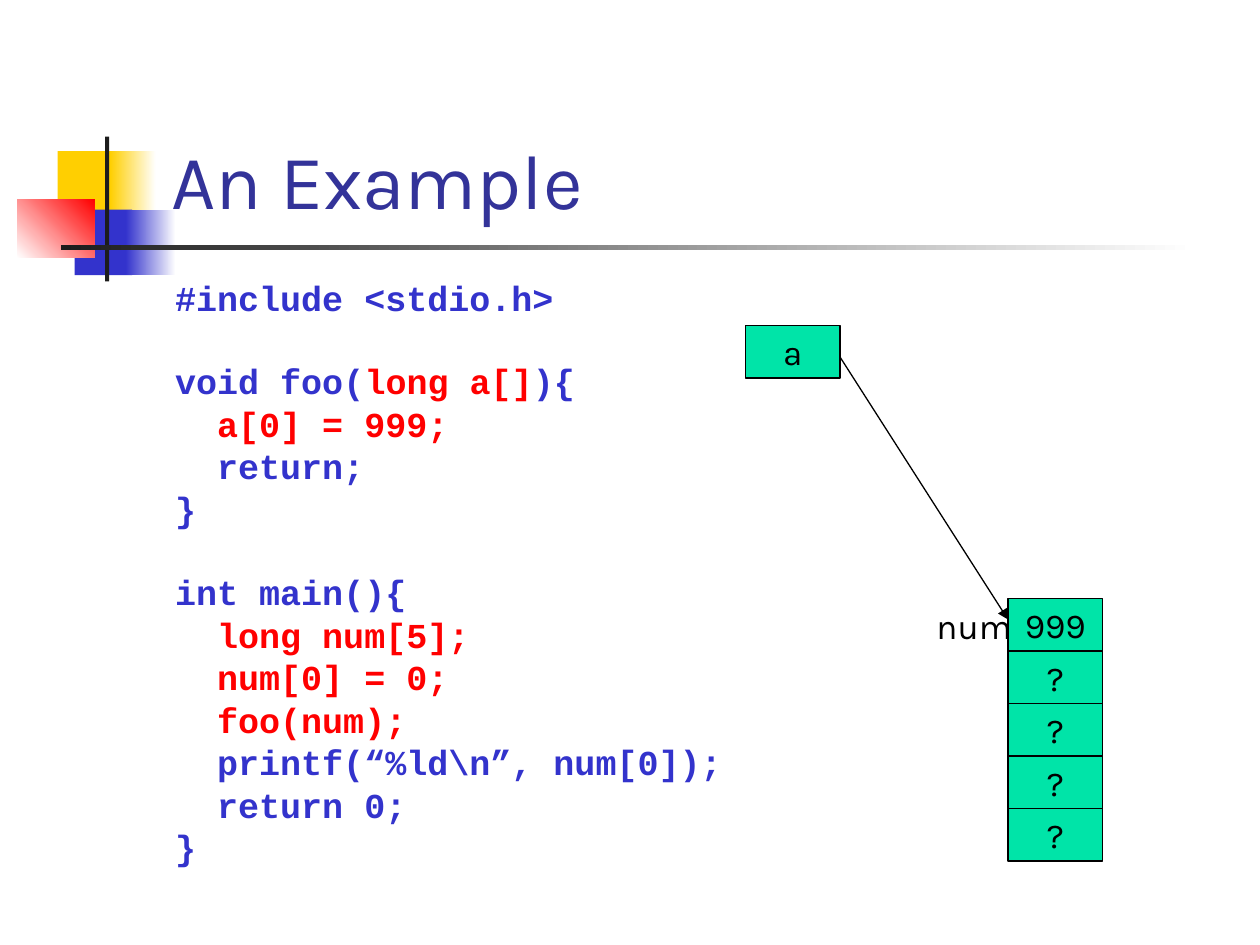
"""Build the slide showing an array passed to a function in C."""
from lxml.etree import SubElement
from pptx import Presentation
from pptx.dml.color import RGBColor
from pptx.enum.shapes import MSO_CONNECTOR, MSO_SHAPE
from pptx.enum.text import MSO_ANCHOR, PP_ALIGN
from pptx.oxml.ns import qn
from pptx.util import Pt

YELLOW = RGBColor(0xFF, 0xCF, 0x01)
BLUE = RGBColor(0x33, 0x33, 0xCC)
NAVY = RGBColor(0x33, 0x33, 0x99)
RED = RGBColor(0xFF, 0x00, 0x00)
GREEN = RGBColor(0x00, 0xE4, 0xA8)
CHARCOAL = RGBColor(0x1C, 0x1C, 0x1C)
BLACK = RGBColor(0x00, 0x00, 0x00)
WHITE = RGBColor(0xFF, 0xFF, 0xFF)

DECORATIONS = [
    ((33, 86.4, 34.7, 37.4), [YELLOW], 0),
    ((63, 86.4, 26, 37.4), [YELLOW, WHITE], 0),
    ((42.6, 119.8, 33, 37.4), [BLUE], 0),
    ((72, 119.8, 28.5, 37.4), [BLUE, WHITE], 0),
    ((9.8, 113.8, 44.2, 33.4), [WHITE, RED], 45),
    ((60, 78, 2.4, 82.8), [CHARCOAL], 0),
    ((34.8, 140.2, 648, 2.4), [CHARCOAL, WHITE], 0),
]
TITLE = "An Example"
FUNCTIONS = [
    [(0, [("#include <stdio.h>", BLUE)])],
    [
        (0, [("void foo(", BLUE), ("long a[]", RED), ("){", BLUE)]),
        (1, [("a[0] = 999;", RED)]),
        (1, [("return;", BLUE)]),
        (0, [("}", BLUE)]),
    ],
    [
        (0, [("int main(){", BLUE)]),
        (1, [("long num[5];", RED)]),
        (1, [("num[0] = 0;", RED)]),
        (1, [("foo(num);", RED)]),
        (1, [("printf(“%ld\\n”, num[0]);", BLUE)]),
        (1, [("return 0;", BLUE)]),
        (0, [("}", BLUE)]),
    ],
]
ARRAY_VALUES = ["999", "?", "?", "?", "?"]

CELL_WIDTH, CELL_HEIGHT = 54, 30
ARRAY_LEFT, ARRAY_TOP = 576, 342
POINTER_LEFT, POINTER_TOP = 426, 186
CODE_INDENT, LINE_GAP, LINE_PITCH = 24, 5.1, 23.25


def add_text(paragraph, text, font="Karla", size=20, color=BLACK, bold=False):
    """Append a formatted run to a paragraph."""
    run = paragraph.add_run()
    run.text = text
    run.font.name = font
    run.font.size = Pt(size)
    run.font.bold = bold
    run.font.color.rgb = color


def add_rectangle(slide, box, colors, angle=0):
    """Add a borderless rectangle with a solid or gradient fill."""
    shape = slide.shapes.add_shape(MSO_SHAPE.RECTANGLE, *map(Pt, box))
    shape.shadow.inherit = False
    shape.line.fill.background()
    if len(colors) == 1:
        shape.fill.solid()
        shape.fill.fore_color.rgb = colors[0]
    else:
        shape.fill.gradient()
        shape.fill.gradient_angle = angle
        for stop, color in zip(shape.fill.gradient_stops, colors):
            stop.color.rgb = color
    return shape


def add_cell(slide, left, top, text):
    """Add one memory cell with a centred value."""
    shape = add_rectangle(slide, (left, top, CELL_WIDTH, CELL_HEIGHT), [GREEN])
    shape.line.color.rgb = BLACK
    shape.line.width = Pt(0.75)
    frame = shape.text_frame
    frame.word_wrap = False
    frame.vertical_anchor = MSO_ANCHOR.MIDDLE
    frame.paragraphs[0].alignment = PP_ALIGN.CENTER
    add_text(frame.paragraphs[0], text)


def add_text_frame(slide, box, anchor=MSO_ANCHOR.TOP):
    """Add a wrapping text box and return its frame."""
    frame = slide.shapes.add_textbox(*map(Pt, box)).text_frame
    frame.word_wrap = True
    frame.vertical_anchor = anchor
    return frame


def add_code(slide, box):
    """Add the program listing, with a line of space between functions."""
    frame = add_text_frame(slide, box)
    paragraph = frame.paragraphs[0]
    for block, lines in enumerate(FUNCTIONS):
        for number, (level, parts) in enumerate(lines):
            if block or number:
                paragraph = frame.add_paragraph()
            starts_block = block > 0 and number == 0
            paragraph.line_spacing = 0.8
            paragraph.space_before = Pt(LINE_GAP + LINE_PITCH * starts_block)
            properties = paragraph._p.get_or_add_pPr()
            properties.set("marL", str(Pt(CODE_INDENT * level)))
            for text, color in parts:
                add_text(paragraph, text, font="Courier New", color=color, bold=True)


def add_arrow(slide, start, end):
    """Add a thin line with an arrowhead at its end."""
    arrow = slide.shapes.add_connector(MSO_CONNECTOR.STRAIGHT, *map(Pt, start + end))
    arrow.line.color.rgb = BLACK
    arrow.line.width = Pt(0.75)
    SubElement(arrow.line._get_or_add_ln(), qn("a:tailEnd"), type="triangle")
    SubElement(arrow._element.spPr, qn("a:effectLst"))


presentation = Presentation()
presentation.slide_width, presentation.slide_height = Pt(720), Pt(540)
slide = presentation.slides.add_slide(presentation.slide_layouts[6])

for box, colors, angle in DECORATIONS:
    add_rectangle(slide, box, colors, angle)

title = add_text_frame(slide, (90.7, 16.6, 613.4, 115.2), MSO_ANCHOR.BOTTOM)
add_text(title.paragraphs[0], TITLE, size=44, color=NAVY)
add_code(slide, (93, 159, 612, 324))

for index, value in enumerate(ARRAY_VALUES):
    add_cell(slide, ARRAY_LEFT, ARRAY_TOP + index * CELL_HEIGHT, value)
add_cell(slide, POINTER_LEFT, POINTER_TOP, "a")
add_arrow(slide, (POINTER_LEFT + CELL_WIDTH, 204), (ARRAY_LEFT, 354))

label = add_text_frame(slide, (528, ARRAY_TOP, 60, 31))
add_text(label.paragraphs[0], "num")

presentation.save("out.pptx")
